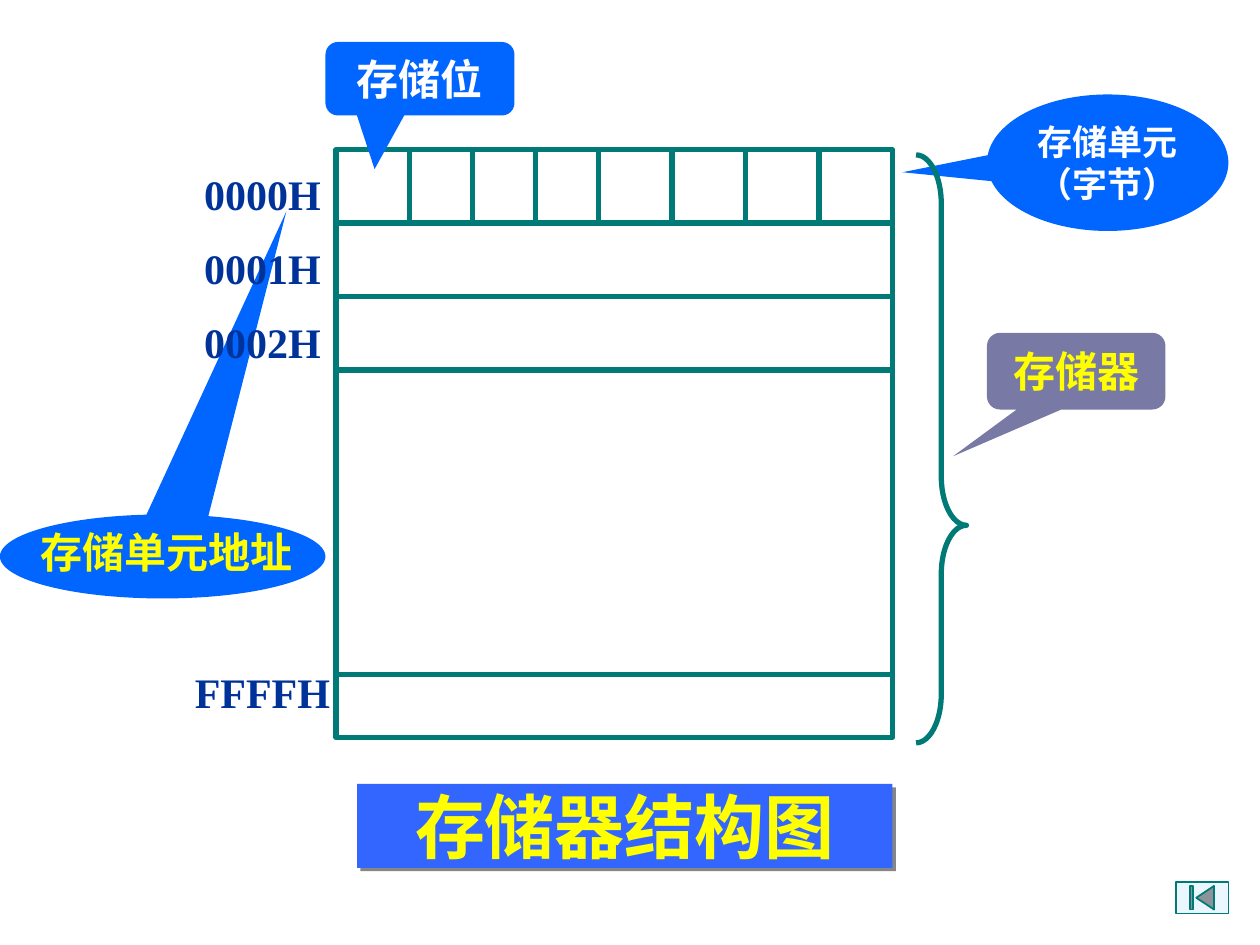
from lxml import etree
from pptx import Presentation
from pptx import util as u
from pptx.dml.color import RGBColor
from pptx.enum import shapes, text
from pptx.oxml.ns import qn

COLORS = {"teal": "007A77", "blue": "0066FF", "title": "3366FF", "violet": "7979A5",
          "yellow": "FFFF00", "white": "FFFFFF", "navy": "003399",
          "button": "EBF7FF", "shadow": "868686"}
LATIN, CHINESE = "Times New Roman", "Noto Sans CJK SC"
CELL = u.Inches(1) / 12  # the slide is a grid of 120 columns by 90 rows
KIND = shapes.MSO_SHAPE

deck = Presentation()
deck.slide_width, deck.slide_height = u.Inches(10), u.Inches(7.5)
page = deck.slides.add_slide(deck.slide_layouts[6])


def draw(kind, place, fill=None, line=None, adjust=()):
    """Add a preset shape; place is column, row, columns wide, rows high."""
    shape = page.shapes.add_shape(kind, *(round(n * CELL) for n in place))
    shape.shadow.inherit = False
    if fill:
        shape.fill.solid()
        shape.fill.fore_color.rgb = RGBColor.from_string(COLORS[fill])
    else:
        shape.fill.background()
    if line:
        shape.line.color.rgb = RGBColor.from_string(COLORS["teal"])
        shape.line.width = u.Pt(line)
    else:
        shape.line.fill.background()
    for index, value in enumerate(adjust):
        shape.adjustments[index] = value
    return shape


def write(box, lines, size, color, font=LATIN):
    """Fill a box with bold centred paragraphs, one for each line."""
    frame = box.text_frame
    frame.word_wrap = False
    frame.vertical_anchor = text.MSO_ANCHOR.MIDDLE
    for index, line in enumerate(lines):
        para = frame.add_paragraph() if index else frame.paragraphs[0]
        para.alignment = text.PP_ALIGN.CENTER
        span = para.add_run()
        span.text = line
        span.font.size, span.font.bold, span.font.name = u.Pt(size), True, font
        span.font.color.rgb = RGBColor.from_string(COLORS[color])
        etree.SubElement(span.font._element, qn("a:ea"), typeface=CHINESE)
    return frame


draw(KIND.ACTION_BUTTON_BEGINNING, (112, 84, 5, 3), "button", 1)

# Memory block: the first row is split into eight bits
LEFT, TOP, WIDE, HIGH, ROW = 32, 14.25, 53, 56, 7
draw(KIND.RECTANGLE, (LEFT, TOP, WIDE, HIGH), line=3)
row_lines = [(LEFT, TOP + y, LEFT + WIDE, TOP + y) for y in (ROW, 2 * ROW, 3 * ROW, 50)]
bit_lines = [(LEFT + x, TOP, LEFT + x, TOP + ROW) for x in (7, 13, 19, 25, 32, 39, 46)]
for ends in row_lines + bit_lines:
    rule = page.shapes.add_connector(shapes.MSO_CONNECTOR.STRAIGHT,
                                     *(round(n * CELL) for n in ends))
    rule.line.color.rgb = RGBColor.from_string(COLORS["teal"])
    rule.line.width = u.Pt(3)
    etree.SubElement(rule._element.spPr, qn("a:effectLst"))

# Address callout lies behind the address column
draw(KIND.OVAL_CALLOUT, (0, 49, 31, 8), "blue", adjust=(0.38, -4.11))
label = page.shapes.add_textbox(*(round(n * CELL) for n in (2.5, 49.5, 26.7, 6)))
write(label, ["存储单元地址"], 24, "yellow")

column = page.shapes.add_textbox(*(round(n * CELL) for n in (17, 13.8, 16, 55)))
addresses = write(column, ["0000H", "0001H", "0002H", "FFFFH"], 24, "navy")
addresses.vertical_anchor = text.MSO_ANCHOR.TOP
addresses.margin_top = addresses.margin_bottom = 0
for para in addresses.paragraphs:
    para.line_spacing = u.Pt(42.3)
addresses.paragraphs[-1].space_before = u.Pt(157.7)

title = draw(KIND.RECTANGLE, (34, 74.65, 51, 8), "title")
write(title, ["存储器结构图"], 40, "yellow", CHINESE)
effects = title._element.spPr.find(qn("a:effectLst"))
shadow = etree.SubElement(effects, qn("a:outerShdw"), dist=str(u.Pt(2.8)),
                          dir="2700000", algn="ctr", rotWithShape="0")
etree.SubElement(shadow, qn("a:srgbClr"), val=COLORS["shadow"])

bit = draw(KIND.ROUNDED_RECTANGULAR_CALLOUT, (31, 4, 18, 7), "blue",
           adjust=(-0.24, 1.23, 0.17))
write(bit, ["存储位"], 24, "white")
unit = draw(KIND.OVAL_CALLOUT, (94, 9, 23, 13), "blue", adjust=(-0.85, 0.07))
write(unit, ["存储单元", "（字节）"], 20, "white")
draw(KIND.RIGHT_BRACE, (87.25, 14.75, 4.8, HIGH), line=3, adjust=(0.97, 0.63))
memory = draw(KIND.ROUNDED_RECTANGULAR_CALLOUT, (94, 31.7, 17, 7.3), "violet",
              adjust=(-0.69, 1.11, 0.17))
write(memory, ["存储器"], 24, "yellow")

deck.save("out.pptx")
